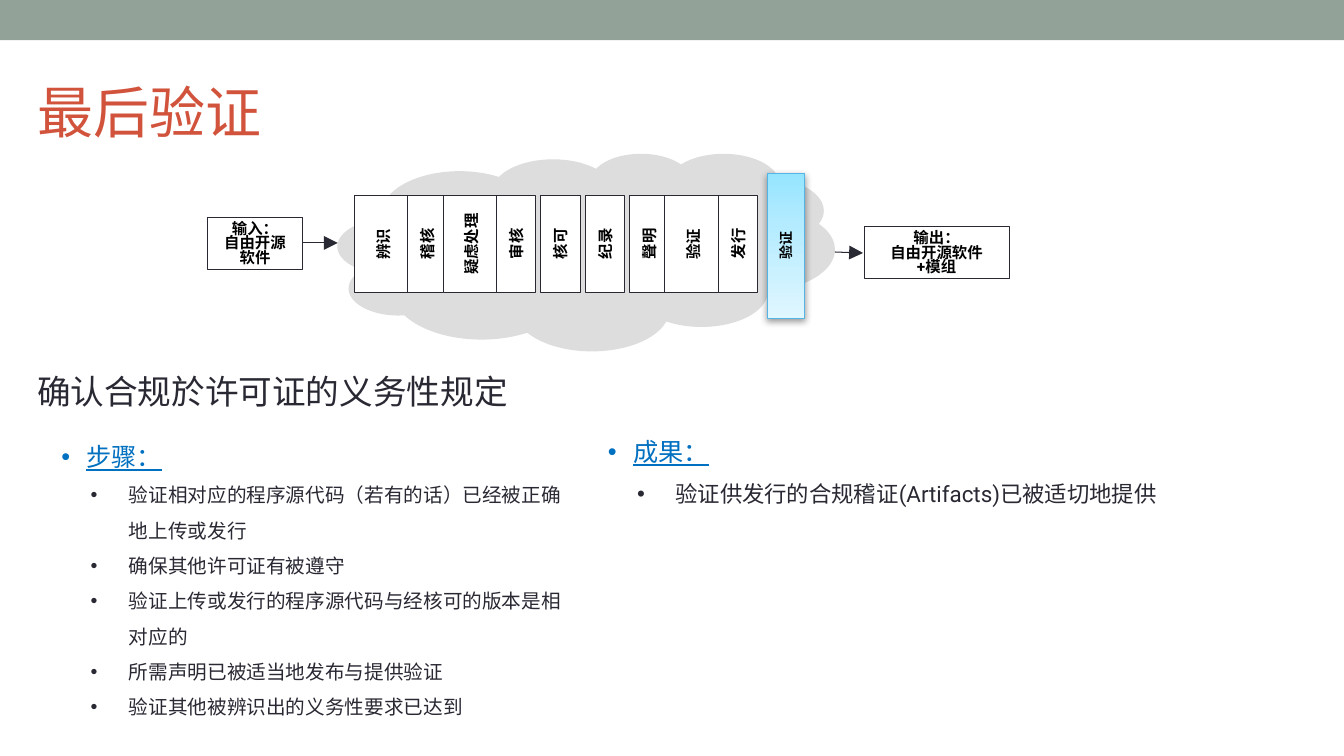
"""Build the final verification slide: process diagram, steps and outcome."""
from copy import deepcopy

from lxml.etree import SubElement
from pptx import Presentation
from pptx.dml.color import RGBColor
from pptx.enum.shapes import MSO_CONNECTOR, MSO_SHAPE
from pptx.enum.text import MSO_ANCHOR, MSO_AUTO_SIZE, PP_ALIGN
from pptx.oxml import parse_xml
from pptx.oxml.ns import nsdecls, qn
from pptx.util import Inches, Pt

INK, BLACK, WHITE, BLUE = "292934", "000000", "FFFFFF", "0070C0"

TITLE = "最后验证"
SUMMARY = "确认合规於许可证的义务性规定"
STAGES = [("辨识", 0.57), ("稽核", 0.39), ("疑虑处理", 0.57), ("审核", 0.39), ("核可", 0.39),
          ("纪录", 0.39), ("聲明", 0.39), ("验证", 0.57), ("发行", 0.39)]
FINAL_STAGE = "验证"
FINAL_GRADIENT = [(0, "95E5FF"), (0.35, "B4EBFF"), (1, "E0F7FF")]
ENDS = [(["输入：", "自由开源软件"], (2.06, 2.16, 0.94, 0.51)),
        (["输出：", "自由开源软件", "+模组"], (8.57, 2.25, 1.44, 0.51))]
ARROWS = [((3, 2.41), (3.35, 2.41)), ((8.28, 2.5), (8.56, 2.51))]
LISTS = [
    ("成果：", ["验证供发行的合规稽证(Artifacts)已被适切地提供"], 16, (5.93, 4.31, 6.71, 2.52)),
    ("步骤：", ["验证相对应的程序源代码（若有的话）已经被正确地上传或发行",
              "确保其他许可证有被遵守",
              "验证上传或发行的程序源代码与经核可的版本是相对应的",
              "所需声明已被适当地发布与提供验证",
              "验证其他被辨识出的义务性要求已达到"], 14, (0.51, 4.36, 5.33, 3.03)),
]
FIRST_STAGE_X, STAGE_PITCH, STAGE_Y, STAGE_LENGTH = 3.8, 0.44, 2.42, 0.97


def color(hex_code):
    return RGBColor.from_string(hex_code)


def place(at):
    return [Inches(length) for length in at]


def centred(x, y, width, height):
    return x - width / 2, y - height / 2, width, height


def write(paragraph, text, size=11, fill=BLACK, bold=False, underline=False,
          align=PP_ALIGN.LEFT, spacing=None, indent=None):
    if indent:
        left, hanging = indent
        props = paragraph._p.get_or_add_pPr()
        props.set("marL", str(Inches(left)))
        props.set("indent", str(Inches(hanging)))
        SubElement(SubElement(props, qn("a:buClr")), qn("a:srgbClr"), val=fill)
        SubElement(props, qn("a:buFont"), typeface="Arial")
        SubElement(props, qn("a:buChar"), char="•")
    paragraph.alignment = align
    if spacing:
        paragraph.line_spacing = spacing
    run = paragraph.add_run()
    run.text = text
    run.font.name = "Roboto"
    run.font.size = Pt(size)
    run.font.bold = bold
    run.font.underline = underline
    run.font.color.rgb = color(fill)


def next_paragraph(frame):
    first = frame.paragraphs[0]
    return frame.add_paragraph() if first.runs else first


def add_box(shapes, at, fill, line=None, kind=MSO_SHAPE.RECTANGLE):
    box = shapes.add_shape(kind, *place(at))
    box.shadow.inherit = False
    box.fill.solid()
    box.fill.fore_color.rgb = color(fill)
    if line:
        box.line.color.rgb = color(line)
        box.line.width = Pt(0.75)
    else:
        box.line.fill.background()
    return box


def add_text(shapes, at, anchor=MSO_ANCHOR.TOP):
    frame = shapes.add_textbox(*place(at)).text_frame
    frame.word_wrap = True
    frame.vertical_anchor = anchor
    return frame


def add_arrow(shapes, start, end):
    arrow = shapes.add_connector(MSO_CONNECTOR.STRAIGHT, *place(start + end))
    arrow.line.color.rgb = color(INK)
    arrow.line.width = Pt(0.75)
    SubElement(arrow.line._get_or_add_ln(), qn("a:tailEnd"), type="triangle", w="lg", len="lg")
    SubElement(arrow._element.spPr, qn("a:effectLst"))


def add_final_stage(shapes):
    bar = add_box(shapes, (7.61, 1.72, 0.37, 1.44), WHITE, "55B4E5")
    bar.rotation = 180
    bar.fill.gradient()
    bar.fill.gradient_angle = 90
    stops = bar._element.spPr.find(".//" + qn("a:gsLst"))
    stops.append(deepcopy(stops[0]))
    for stop, (position, tint) in zip(bar.fill.gradient_stops, FINAL_GRADIENT):
        stop.position = position
        stop.color.rgb = color(tint)
    effects = bar._element.spPr.find(qn("a:effectLst"))
    effects.append(parse_xml(
        f'<a:outerShdw {nsdecls("a")} blurRad="{Pt(5)}" dist="{Pt(1.6)}" dir="5400000" '
        'rotWithShape="0"><a:srgbClr val="000000"><a:alpha val="38000"/></a:srgbClr></a:outerShdw>'))
    label = shapes.add_textbox(*place((7.08, 2.25, 1.44, 0.37)))
    label.rotation = 270
    label.text_frame.word_wrap = True
    label.text_frame.vertical_anchor = MSO_ANCHOR.MIDDLE
    write(label.text_frame.paragraphs[0], FINAL_STAGE, size=10, bold=True, align=PP_ALIGN.CENTER)


def add_process(shapes):
    cloud = add_box(shapes, (3.35, 1.52, 4.93, 1.96), "DDDDDD", kind=MSO_SHAPE.CLOUD_CALLOUT)
    cloud.adjustments[0], cloud.adjustments[1] = -0.01, 0.12
    add_final_stage(shapes)
    for number, (name, width) in enumerate(STAGES):
        x = FIRST_STAGE_X + number * STAGE_PITCH
        stage = add_box(shapes, centred(x, STAGE_Y, STAGE_LENGTH, width), WHITE, INK)
        stage.rotation = 270
        stage.text_frame.vertical_anchor = MSO_ANCHOR.MIDDLE
        write(stage.text_frame.paragraphs[0], name, bold=True, align=PP_ALIGN.CENTER)
    for lines, at in ENDS:
        frame = add_box(shapes, at, WHITE, INK).text_frame
        frame.vertical_anchor = MSO_ANCHOR.TOP
        for line in lines:
            write(next_paragraph(frame), line, bold=True, align=PP_ALIGN.CENTER, spacing=Pt(10.5))
    for start, end in ARROWS:
        add_arrow(shapes, start, end)


def main():
    deck = Presentation()
    deck.slide_width, deck.slide_height = place((13.33, 7.5))
    shapes = deck.slides.add_slide(deck.slide_layouts[5]).shapes

    add_box(shapes, (0, 0, 13.33, 0.4), "93A299")
    title = shapes.title
    title.left, title.top, title.width, title.height = place((0.27, 0.56, 12, 1.08))
    title.text_frame.auto_size = MSO_AUTO_SIZE.NONE
    title.text_frame.vertical_anchor = MSO_ANCHOR.MIDDLE
    write(title.text_frame.paragraphs[0], TITLE, size=40, fill="D2533C")

    add_process(shapes)
    write(add_text(shapes, (0.27, 3.63, 13.06, 0.5)).paragraphs[0], SUMMARY, size=24, fill=INK)
    for heading, items, size, at in LISTS:
        frame = add_text(shapes, at)
        write(next_paragraph(frame), heading, size=18, fill=BLUE, underline=True,
              spacing=0.9, indent=(0.25, -0.25))
        for item in items:
            write(next_paragraph(frame), item, size=size, fill=INK,
                  spacing=1.5, indent=(0.67, -0.38))
    deck.save("out.pptx")


if __name__ == "__main__":
    main()
